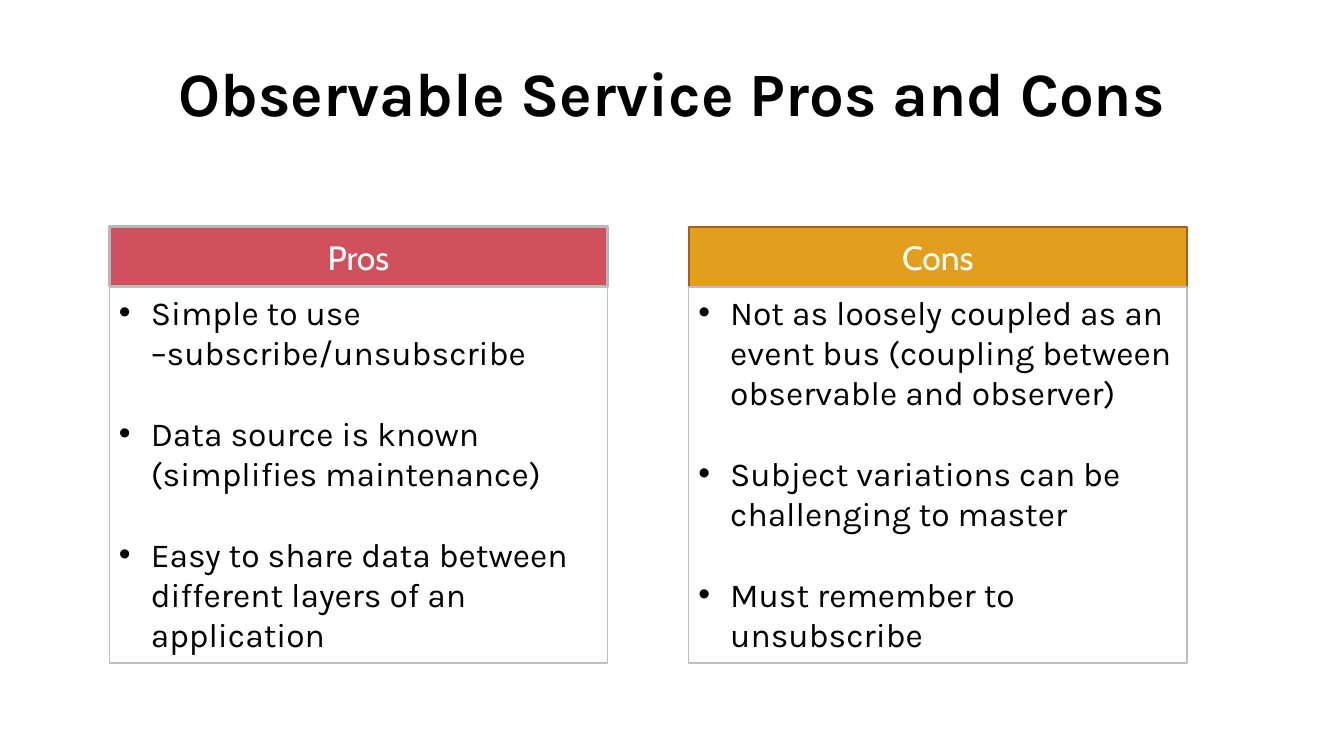
"""Build a slide comparing the pros and cons of an observable service."""
import pptx
import pptx.dml.color
import pptx.enum.shapes
import pptx.enum.text
import pptx.oxml
import pptx.oxml.ns
import pptx.util

Pt = pptx.util.Pt
ALIGN = pptx.enum.text.PP_ALIGN
ANCHOR = pptx.enum.text.MSO_ANCHOR

TITLE = "Observable Service Pros and Cons"
COLUMNS = [
    {"heading": "Pros", "fill": "pros", "border": "pros_border", "border_width": 1.5,
     "points": ["Simple to use –subscribe/unsubscribe",
                "Data source is known (simplifies maintenance)",
                "Easy to share data between different layers of an application"]},
    {"heading": "Cons", "fill": "cons", "border": "cons_border", "border_width": 1,
     "points": ["Not as loosely coupled as an event bus (coupling between observable and observer)",
                "Subject variations can be challenging to master",
                "Must remember to unsubscribe"]},
]
COLORS = {"text": "000000", "heading": "FFFFFF", "pros": "D1505E", "pros_border": "B7B7B7",
          "cons": "E29F1D", "cons_border": "AC5B23", "body_border": "BFBFBF"}

LEFT, TOP, WIDTH, STEP = 58.5, 121.5, 267, 310.4
HEADING_HEIGHT, BODY_HEIGHT = 32.2, 201.6
INDENT, POINT_GAP = 17.1, 21.6


def rgb(name):
    return pptx.dml.color.RGBColor.from_string(COLORS[name])


def set_frame(frame, anchor, inset_x, inset_y):
    frame.word_wrap = True
    frame.vertical_anchor = anchor
    frame.margin_left = frame.margin_right = Pt(inset_x)
    frame.margin_top = frame.margin_bottom = Pt(inset_y)


def add_run(paragraph, text, font, size, color, bold=False):
    run = paragraph.add_run()
    run.text = text
    run.font.name, run.font.size, run.font.bold = font, Pt(size), bold
    run.font.color.rgb = rgb(color)


def add_panel(slide, left, top, height, fill, border, border_width):
    panel = slide.shapes.add_shape(pptx.enum.shapes.MSO_SHAPE.RECTANGLE,
                                   Pt(left), Pt(top), Pt(WIDTH), Pt(height))
    panel.shadow.inherit = False
    if fill:
        panel.fill.solid()
        panel.fill.fore_color.rgb = rgb(fill)
    else:
        panel.fill.background()
    panel.line.color.rgb = rgb(border)
    panel.line.width = Pt(border_width)
    return panel.text_frame


def add_bullet(paragraph):
    props = paragraph._p.get_or_add_pPr()
    props.set("marL", str(Pt(INDENT)))
    props.set("indent", str(-Pt(INDENT)))
    namespace = pptx.oxml.ns.nsdecls("a")
    for xml in (f'<a:buClr {namespace}><a:srgbClr val="{COLORS["text"]}"/></a:buClr>',
                f'<a:buFont {namespace} typeface="Arial"/>',
                f'<a:buChar {namespace} char="•"/>'):
        props.append(pptx.oxml.parse_xml(xml))


def add_title(slide):
    frame = slide.shapes.add_textbox(Pt(36), Pt(18), Pt(648), Pt(67.5)).text_frame
    set_frame(frame, ANCHOR.MIDDLE, 7.2, 7.2)
    paragraph = frame.paragraphs[0]
    paragraph.alignment = ALIGN.CENTER
    paragraph.line_spacing = 0.9
    add_run(paragraph, TITLE, "Karla", 33, "text", bold=True)


def add_column(slide, left, column):
    heading = add_panel(slide, left, TOP, HEADING_HEIGHT,
                        column["fill"], column["border"], column["border_width"])
    set_frame(heading, ANCHOR.MIDDLE, 7.2, 7.2)
    heading.paragraphs[0].alignment = ALIGN.CENTER
    add_run(heading.paragraphs[0], column["heading"], "Cabin", 18, "heading")

    body = add_panel(slide, left, TOP + HEADING_HEIGHT, BODY_HEIGHT, None, "body_border", 0.75)
    set_frame(body, ANCHOR.TOP, 5.2, 2.6)
    for index, point in enumerate(column["points"]):
        paragraph = body.add_paragraph() if index else body.paragraphs[0]
        add_bullet(paragraph)
        paragraph.alignment = ALIGN.LEFT
        if index:
            paragraph.space_before = Pt(POINT_GAP)
        add_run(paragraph, point, "Karla", 18, "text")


def main():
    deck = pptx.Presentation()
    deck.slide_width, deck.slide_height = Pt(720), Pt(405)
    slide = deck.slides.add_slide(deck.slide_layouts[6])
    add_title(slide)
    for index, column in enumerate(COLUMNS):
        add_column(slide, LEFT + index * STEP, column)
    deck.save("out.pptx")


if __name__ == "__main__":
    main()
